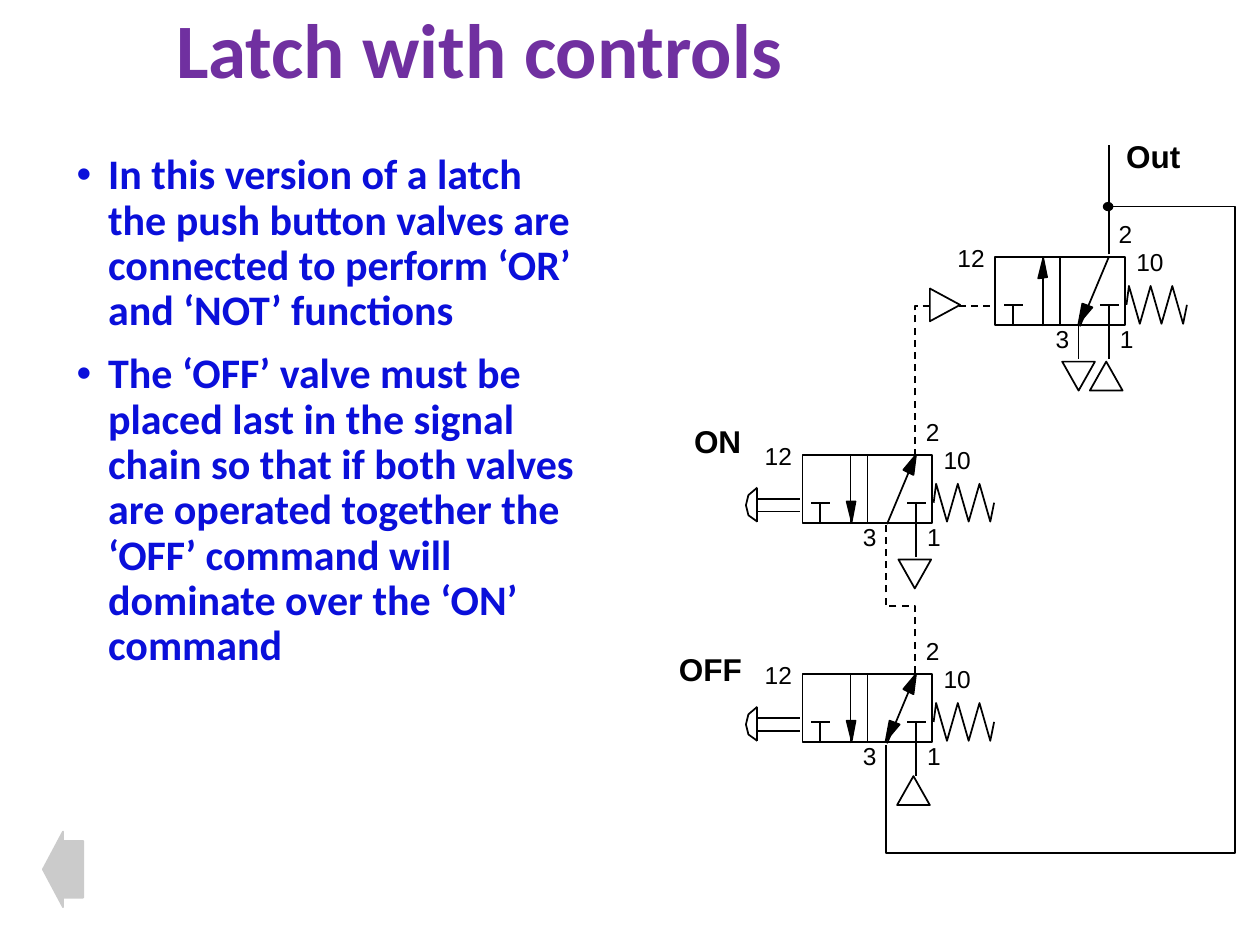
from dataclasses import dataclass

from lxml.etree import SubElement
from pptx import Presentation
from pptx.dml.color import RGBColor
from pptx.enum.dml import MSO_LINE
from pptx.enum.shapes import MSO_CONNECTOR, MSO_SHAPE as SHAPE
from pptx.enum.text import MSO_ANCHOR as ANCHOR, MSO_AUTO_SIZE as AUTO_SIZE
from pptx.oxml.ns import qn
from pptx.util import Inches, Pt


@dataclass(frozen=True)
class Theme:
    title: str = "7030A0"
    body: str = "0A0FDA"
    ink: str = "000000"
    paper: str = "FFFFFF"
    back: str = "CBCBCB"
    head_font: str = "Calibri"
    label_font: str = "Arial"
    title_size: int = 44
    body_size: int = 24
    name_size: int = 18
    port_size: int = 14
    line: int = 1


T = Theme()

BODY = [
    "In this version of a latch the push button valves are connected to perform "
    "‘OR’ and ‘NOT’ functions",
    "The ‘OFF’ valve must be placed last in the signal chain so that if both valves "
    "are operated together the ‘OFF’ command will dominate over the ‘ON’ command",
]

# Valve parts, measured from the top left corner of the valve body
PORT_LABELS = [("1", 0.89, 0.48), ("2", 0.88, -0.35), ("3", 0.38, 0.48),
               ("12", -0.4, -0.16), ("10", 1.02, -0.13)]
VALVE_LINES = [
    (0.9, 0.54, 0.9, 0.81),                             # supply port
    (0.9, 0.38, 0.9, 0.55), (0.83, 0.38, 0.98, 0.38),   # blocked port, right
    (0.14, 0.38, 0.14, 0.55), (0.07, 0.38, 0.22, 0.38),  # blocked port, left
    (0.9, 0, 0.67, 0.55), (0.38, 0.55, 0.38, 0),        # flow paths
]
HEADS = {
    "up": [(0.38, 0.01), (0.34, 0.17), (0.41, 0.16)],
    "down": [(0.39, 0.53), (0.35, 0.37), (0.42, 0.37)],
    "to 2": [(0.9, 0), (0.88, 0.16), (0.8, 0.12)],
    "to 3": [(0.66, 0.53), (0.69, 0.37), (0.77, 0.4)],
}
BUTTON_LINES = [(-0.36, 0.26, -0.36, 0.53),
                (-0.35, 0.35, -0.02, 0.35), (-0.35, 0.45, -0.02, 0.45)]
BUTTON_CAP = [(-0.36, 0.26), (-0.43, 0.32), (-0.45, 0.4), (-0.43, 0.48), (-0.36, 0.53)]
SPRING = [(1.04, 0.38), *[(1.06 + 0.086 * i, 0.53 if i % 2 else 0.23) for i in range(6)],
          (1.52, 0.38)]


def rgb(color):
    return RGBColor.from_string(color)


def style(sp, fill=None, line=T.ink, dash=False):
    sp.shadow.inherit = False
    if fill:
        sp.fill.solid()
        sp.fill.fore_color.rgb = rgb(fill)
    else:
        sp.fill.background()
    sp.line.color.rgb = rgb(line)
    sp.line.width = Pt(T.line)
    if dash:
        sp.line.dash_style = MSO_LINE.DASH
    return sp


def shape(s, kind, box, rotation=0, **fmt):
    sp = style(s.shapes.add_shape(kind, *map(Inches, box)), **fmt)
    sp.rotation = rotation
    return sp


def line(s, x1, y1, x2, y2):
    c = s.shapes.add_connector(MSO_CONNECTOR.STRAIGHT, *map(Inches, (x1, y1, x2, y2)))
    c.line.color.rgb = rgb(T.ink)
    c.line.width = Pt(T.line)
    SubElement(c._element.spPr, qn("a:effectLst"))
    return c


def path(s, points, closed=False, **fmt):
    pts = [(Inches(x), Inches(y)) for x, y in points]
    fb = s.shapes.build_freeform(*pts[0])
    fb.add_line_segments(pts[1:], close=closed)
    return style(fb.convert_to_shape(), **fmt)


def add_bullet(p, color):
    pPr = p._p.get_or_add_pPr()
    pPr.set("marL", str(Inches(0.25)))
    pPr.set("indent", str(-Inches(0.25)))
    SubElement(SubElement(pPr, qn("a:buClr")), qn("a:srgbClr"), val=color)
    SubElement(pPr, qn("a:buFont"), typeface="Arial")
    SubElement(pPr, qn("a:buChar"), char="•")


def text(s, box, paragraphs, size, font=T.label_font, color=T.ink, bold=False, wrap=False,
         anchor=ANCHOR.TOP, spacing=None, before=0, bullet=False):
    tf = s.shapes.add_textbox(*map(Inches, box)).text_frame
    tf.word_wrap = wrap
    tf.auto_size = AUTO_SIZE.NONE if wrap else AUTO_SIZE.SHAPE_TO_FIT_TEXT
    tf.vertical_anchor = anchor
    for i, words in enumerate(paragraphs):
        p = tf.add_paragraph() if i else tf.paragraphs[0]
        if bullet:
            add_bullet(p, color)
        if spacing:
            p.line_spacing = spacing
        if i and before:
            p.space_before = Pt(before)
        r = p.add_run()
        r.text = words
        r.font.size, r.font.name, r.font.bold = Pt(size), font, bold
        r.font.color.rgb = rgb(color)


def valve(s, x, y, heads, button=True):
    def shift(points):
        return [(x + dx, y + dy) for dx, dy in points]

    def lines(segments):
        for x1, y1, x2, y2 in segments:
            line(s, x + x1, y + y1, x + x2, y + y2)

    body = shape(s, SHAPE.RECTANGLE, (x, y, 1.03, 0.54))
    divider = line(s, x + 0.51, y, x + 0.51, y + 0.54)
    divider.begin_connect(body, 0)
    divider.end_connect(body, 2)
    lines(VALVE_LINES)
    for head in heads:
        path(s, shift(HEADS[head]), closed=True, fill=T.ink)
    path(s, shift(SPRING))
    if button:
        lines(BUTTON_LINES)
        path(s, shift(BUTTON_CAP))
    for label, dx, dy in PORT_LABELS:
        text(s, (x + dx, y + dy, 0.2 + 0.11 * len(label), 0.33), [label], T.port_size)


def main():
    prs = Presentation()
    prs.slide_width, prs.slide_height = Inches(10), Inches(7.5)
    s = prs.slides.add_slide(prs.slide_layouts[6])

    # Title and explanation
    text(s, (1.3, 0.02, 7.47, 0.81), ["Latch with controls"], T.title_size, T.head_font,
         T.title, bold=True, wrap=True, anchor=ANCHOR.MIDDLE, spacing=0.9)
    text(s, (0.51, 1.17, 4.17, 4.92), BODY, T.body_size, T.head_font, T.body, bold=True,
         wrap=True, spacing=0.9, before=10, bullet=True)

    # Pilot lines
    path(s, [(7.26, 3.62), (7.26, 2.43), (7.89, 2.43)], dash=True)
    path(s, [(7.26, 5.34), (7.26, 4.81), (7.03, 4.81), (7.03, 4.17)], dash=True)

    # Valves: output, ON and OFF
    valve(s, 7.9, 2.04, ["up", "to 3"], button=False)
    valve(s, 6.37, 3.61, ["down", "to 2"])
    valve(s, 6.37, 5.35, ["down", "to 2", "to 3"])

    # Output line, exhaust line and feedback loop
    line(s, 8.8, 2.02, 8.8, 1.15)
    line(s, 8.56, 2.58, 8.56, 2.85)
    path(s, [(8.8, 1.64), (9.8, 1.64), (9.8, 6.77), (7.03, 6.77), (7.03, 5.91)])
    shape(s, SHAPE.OVAL, (8.76, 1.61, 0.07, 0.06), fill=T.ink)

    # Supply, exhaust and pilot triangles
    for x, y, rotation in [(8.65, 2.87, 0), (8.43, 2.87, 180), (7.13, 4.44, 180), (7.12, 6.16, 0)]:
        shape(s, SHAPE.ISOSCELES_TRIANGLE, (x, y, 0.26, 0.23), rotation)
    shape(s, SHAPE.ISOSCELES_TRIANGLE, (7.37, 2.3, 0.26, 0.24), 90, fill=T.paper)

    # Names
    for name, x, y, w in [("ON", 5.41, 3.3, 0.58), ("OFF", 5.29, 5.11, 0.7), ("Out", 8.84, 1.04, 0.63)]:
        text(s, (x, y, w, 0.4), [name], T.name_size, bold=True)

    # Back arrow
    arrow = shape(s, SHAPE.LEFT_ARROW, (0.34, 6.6, 0.32, 0.6), fill=T.back, line=T.back)
    arrow.adjustments[0] = 0.75

    prs.save("out.pptx")


if __name__ == "__main__":
    main()
